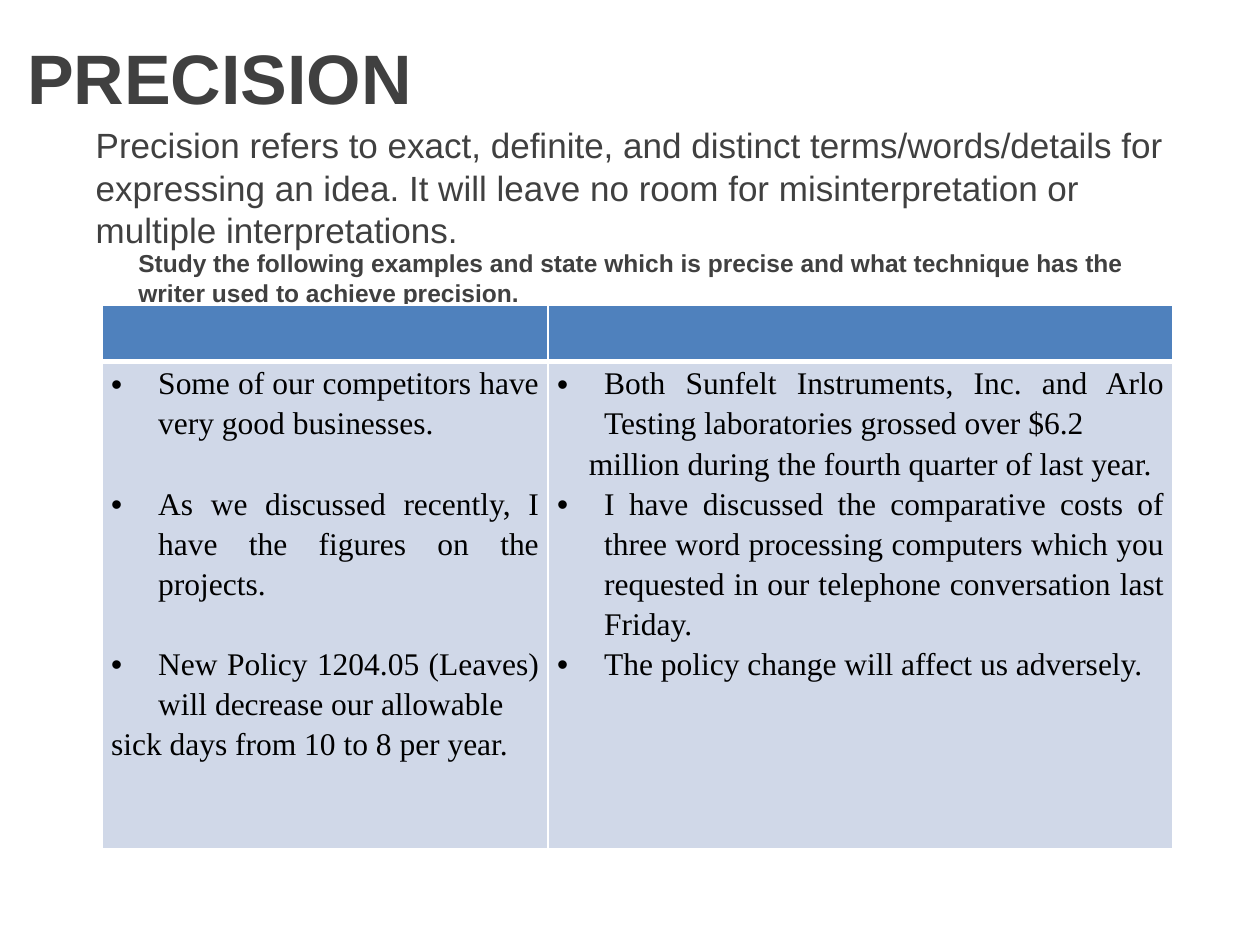
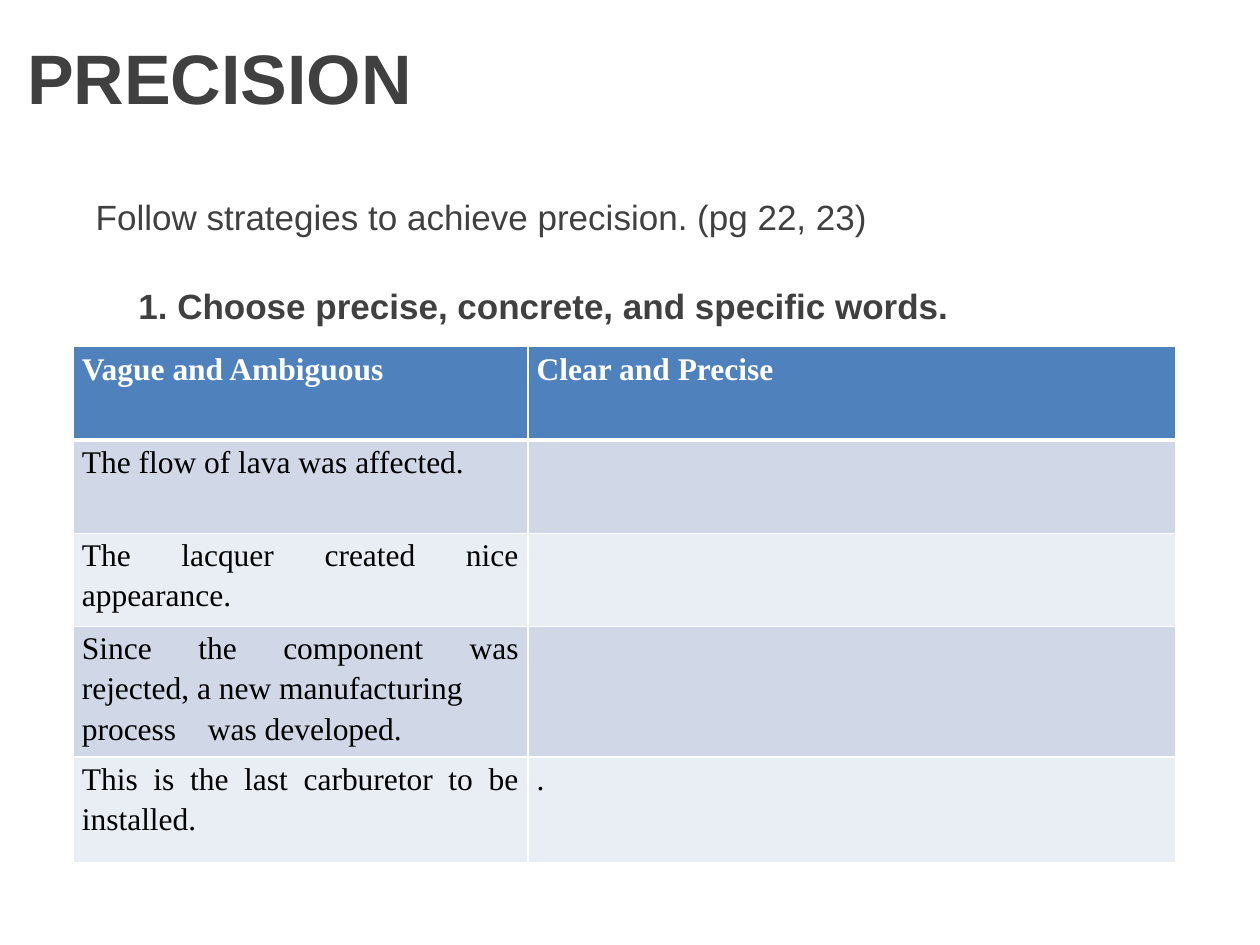
from lxml import etree
from pptx import Presentation
from pptx import util as u
from pptx.dml.color import RGBColor
from pptx.enum import text
from pptx.oxml import ns

# Content: cells are lists of paragraphs, each a string or (string, format)
COLORS = {"ink": "404040", "black": "000000", "white": "FFFFFF",
          "head": "4F81BD", "band1": "D0D8E8", "band2": "E9EDF4"}
SANS, SERIF = "Arial", "Times New Roman"
TITLE = "PRECISION"
BULLET = {"bullet": "•", "hang": 0.95}
SPACED = {**BULLET, "before": 23}

SLIDES = [
    {"lead": "Precision refers to exact, definite, and distinct terms/words/details "
             "for expressing an idea. It will leave no room for misinterpretation or "
             "multiple interpretations.",
     "lead_box": (1.68, 2.54, 22.45, 2.46),
     "task": "Study the following examples and state which is precise and what "
             "technique has the writer used to achieve precision.",
     "task_box": (1.7, 4.88, 22.45, 10.74), "task_size": 14,
     "table_at": (2.06, 6.15), "cols": (8.99, 12.6), "heights": (1.14, 9.83),
     "rows": [
         [[], []],
         [[("Some of our competitors have very good businesses.", BULLET),
           ("As we discussed recently, I\vhave the figures on the\vprojects.", SPACED),
           ("New Policy 1204.05 (Leaves) will decrease our allowable", SPACED),
           "sick days from 10 to 8 per year."],
          [("Both Sunfelt Instruments, Inc. and Arlo\v"
            "Testing laboratories grossed over $6.2", BULLET),
           ("million during the fourth quarter of last year.", {"indent": 0.64}),
           ("I have discussed the comparative costs of\vthree word processing "
            "computers which you requested in our telephone conversation last "
            "Friday.", BULLET),
           ("The policy change will affect us adversely.", BULLET)]],
     ]},
    {"lead": "Follow strategies to achieve precision. (pg 22, 23)",
     "lead_box": (1.68, 3.73, 22.45, 1.27),
     "task": "1. Choose precise, concrete, and specific words.",
     "task_box": (1.7, 5.61, 22.45, 10.01), "task_size": 20,
     "table_at": (1.47, 6.99), "cols": (9.17, 13.06),
     "heights": (1.88, 1.88, 1.88, 2.4, 2.13),
     "rows": [
         [["Vague and Ambiguous"], ["Clear and Precise"]],
         [["The flow of lava was affected."], []],
         [["The lacquer created nice\vappearance."], []],
         [["Since the component was\vrejected, a new manufacturing",
           ("process\twas developed.", {"tab": 2.54})], []],
         [["This is the last carburetor to be\vinstalled."], ["."]],
     ]},
]


def rgb(name):
    return RGBColor.from_string(COLORS[name])


def write(p, content, font=SANS, size=20, color="ink", bold=False, align=None,
          spacing=None, before=None, bullet=None, hang=0, indent=0, tab=None):
    """Fill one paragraph; hang, indent and tab are in centimetres."""
    pPr = p._p.get_or_add_pPr()
    if bullet or indent:
        pPr.set("marL", str(u.Cm(hang + indent)))
        pPr.set("indent", str(u.Cm(-hang)))
    if bullet:
        etree.SubElement(pPr, ns.qn("a:buFont"), typeface=SANS)
        etree.SubElement(pPr, ns.qn("a:buChar"), char=bullet)
    if tab:
        stops = etree.SubElement(pPr, ns.qn("a:tabLst"))
        etree.SubElement(stops, ns.qn("a:tab"), pos=str(u.Cm(tab)), algn="l")
    if align is not None:
        p.alignment = align
    if spacing:
        p.line_spacing = spacing
    if before:
        p.space_before = u.Pt(before)
    for i, line in enumerate(content.split("\v")):
        if i:
            p.add_line_break()
        r = p.add_run()
        r.text = line
        r.font.name, r.font.size, r.font.bold = font, u.Pt(size), bold
        r.font.color.rgb = rgb(color)


def add_text(s, content, box, anchor=text.MSO_ANCHOR.MIDDLE, left=0.25, **fmt):
    tf = s.shapes.add_textbox(*map(u.Cm, box)).text_frame
    tf.word_wrap = True
    tf.vertical_anchor = anchor
    tf.margin_left = u.Cm(left)
    write(tf.paragraphs[0], content, **fmt)


def set_borders(cell, top, bottom):
    """Draw white cell borders; widths are in points."""
    tcPr = cell._tc.get_or_add_tcPr()
    widths = {"lnL": 1, "lnR": 1, "lnT": top, "lnB": bottom}
    for i, (tag, width) in enumerate(widths.items()):
        ln = etree.Element(ns.qn("a:" + tag), w=str(u.Pt(width)))
        fill = etree.SubElement(ln, ns.qn("a:solidFill"))
        etree.SubElement(fill, ns.qn("a:srgbClr"), val=COLORS["white"])
        tcPr.insert(i, ln)


def add_table(s, at, cols, heights, rows):
    frame = s.shapes.add_table(len(rows), len(cols), *map(u.Cm, at),
                               u.Cm(sum(cols)), u.Cm(sum(heights)))
    table = frame.table
    for column, width in zip(table.columns, cols):
        column.width = u.Cm(width)
    for i, (row, height) in enumerate(zip(rows, heights)):
        table.rows[i].height = u.Cm(height)
        is_head = i == 0
        for j, paragraphs in enumerate(row):
            cell = table.cell(i, j)
            cell.margin_left = cell.margin_right = u.Cm(0.18)
            cell.margin_top = cell.margin_bottom = 0
            cell.fill.solid()
            cell.fill.fore_color.rgb = rgb("head" if is_head else
                                           "band1" if i % 2 else "band2")
            set_borders(cell, top=3 if i == 1 else 1, bottom=3 if is_head else 1)
            tf = cell.text_frame
            for k, item in enumerate(paragraphs):
                content, fmt = (item, {}) if isinstance(item, str) else item
                p = tf.add_paragraph() if k else tf.paragraphs[0]
                write(p, content, font=SERIF, size=18, bold=is_head,
                      color="white" if is_head else "black", spacing=1.15,
                      align=text.PP_ALIGN.JUSTIFY, **fmt)


def main():
    prs = Presentation()
    prs.slide_width, prs.slide_height = u.Cm(25.4), u.Cm(19.05)
    for data in SLIDES:
        s = prs.slides.add_slide(prs.slide_layouts[6])
        # Title, introduction and task
        add_text(s, TITLE, (0.3, 0.05, 25.1, 2.97), size=40, bold=True)
        add_text(s, data["lead"], data["lead_box"])
        add_text(s, data["task"], data["task_box"], anchor=text.MSO_ANCHOR.TOP,
                 left=1.09, size=data["task_size"], bold=True)
        # Examples
        add_table(s, data["table_at"], data["cols"], data["heights"], data["rows"])
    prs.save("out.pptx")


if __name__ == "__main__":
    main()
